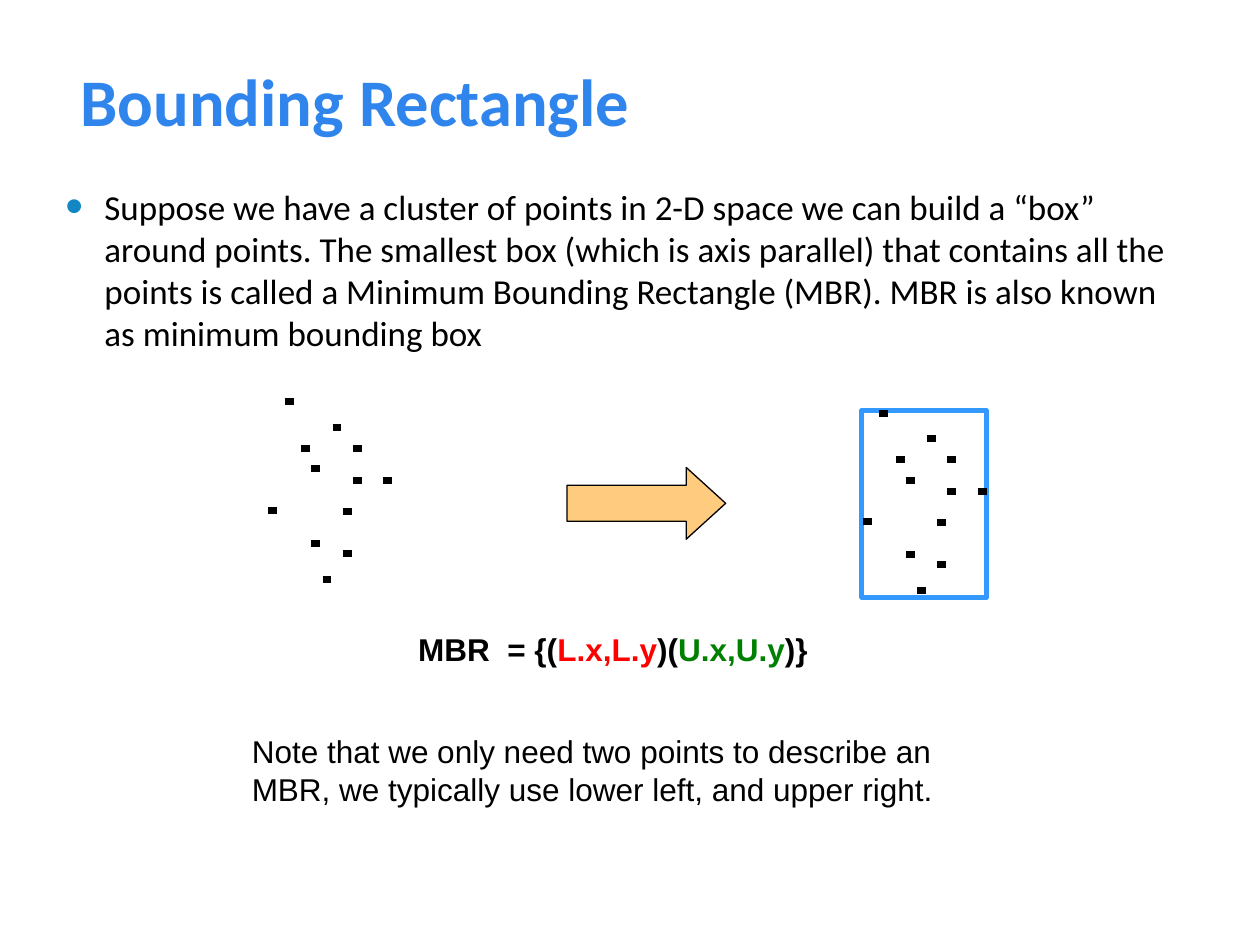
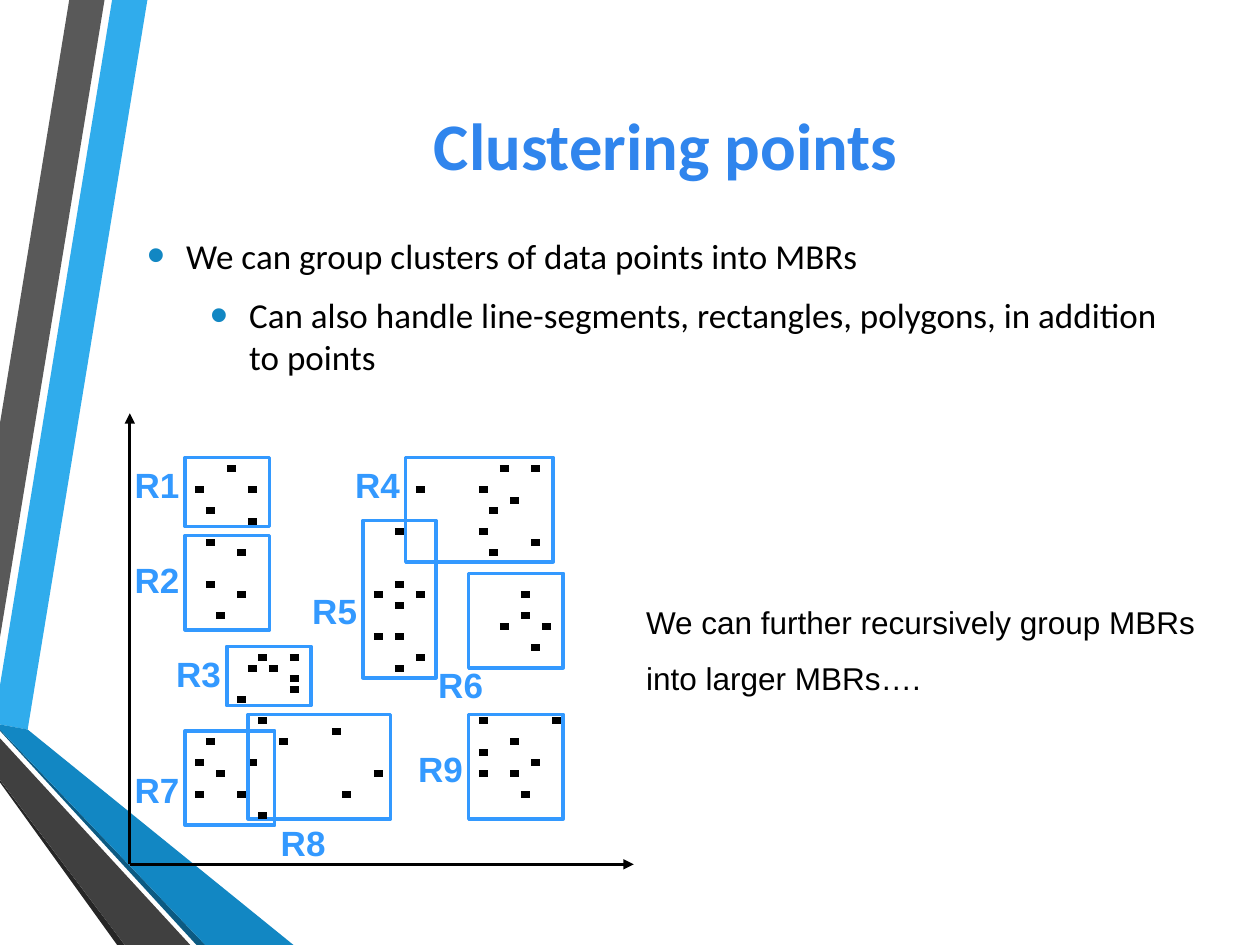
from lxml import etree
from pptx import Presentation
from pptx.dml.color import RGBColor
from pptx.enum.shapes import MSO_CONNECTOR, MSO_SHAPE
from pptx.enum.text import MSO_ANCHOR, PP_ALIGN
from pptx.oxml.ns import qn
from pptx.util import Inches, Pt

STRAIGHT = MSO_CONNECTOR.STRAIGHT
RECTANGLE = MSO_SHAPE.RECTANGLE
RIGHT_ARROW = MSO_SHAPE.RIGHT_ARROW
TOP, MIDDLE, BOTTOM = MSO_ANCHOR.TOP, MSO_ANCHOR.MIDDLE, MSO_ANCHOR.BOTTOM
LEFT, CENTER = PP_ALIGN.LEFT, PP_ALIGN.CENTER

BLACK, TITLE_BLUE, BULLET_BLUE, MBR_BLUE = "000000", "3085ED", "1287C3", "3399FF"
LOWER_RED, UPPER_GREEN, ARROW_ORANGE = "FF0000", "008000", "FF9900"
HEADING_FONT, NOTE_FONT = "Calibri", "Arial"
DOT_LENGTH = 0.07
GRID_STEP = 1 / 12

BANDS = [
    ("30ACEC", [(0, 5.44), (0, 5.75), (0.22, 5.79), (1.17, 0), (0.89, 0)]),
    ("595959", [(0.83, 0), (0.55, 0), (0, 3.36), (0, 5.06)]),
    ("262626", [(0, 6.19), (0, 6.21), (0.93, 7.5), (0.99, 7.5)]),
    ("0C5A82", [(0, 5.79), (0, 5.8), (1.56, 7.5), (1.63, 7.5)]),
    ("1287C3", [(0, 5.79), (1.63, 7.5), (2.33, 7.5), (0.22, 5.79), (0, 5.75)]),
    ("404040", [(0, 6.19), (0.99, 7.5), (1.51, 7.5), (0, 5.86)]),
]

CLUSTER = [(0.13, 0), (0.51, 0.2), (0.26, 0.37), (0.67, 0.37), (0.34, 0.53), (0.67, 0.62),
           (0.91, 0.62), (0, 0.86), (0.59, 0.87), (0.34, 1.12), (0.59, 1.2), (0.43, 1.41)]

REGIONS = [
    ("R1", (0.44, 0.35, 0.67, 0.55), (-0.06, 0.35),
     [(3, 0), (0, 2), (5, 2), (1, 4), (5, 5)]),
    ("R2", (0.44, 0.97, 0.67, 0.75), (-0.06, 1.1),
     [(1, 7), (4, 8), (1, 11), (4, 12), (2, 14)]),
    ("R3", (0.77, 1.85, 0.67, 0.47), (0.27, 1.85),
     [(6, 18), (9, 18), (5, 19), (7, 19), (9, 20), (9, 21), (4, 22)]),
    ("R4", (2.19, 0.35, 1.17, 0.83), (1.69, 0.35),
     [(29, 0), (32, 0), (21, 2), (27, 2), (30, 3), (28, 4), (27, 6), (32, 7), (28, 8)]),
    ("R5", (1.85, 0.85, 0.58, 1.25), (1.35, 1.35),
     [(19, 6), (19, 11), (17, 12), (21, 12), (19, 13), (17, 16), (19, 16), (21, 18), (19, 19)]),
    ("R6", (2.69, 1.27, 0.75, 0.75), (2.35, 1.94),
     [(31, 12), (31, 14), (29, 15), (33, 15), (32, 17)]),
    ("R7", (0.44, 2.52, 0.71, 0.75), (-0.06, 2.77),
     [(1, 26), (0, 28), (5, 28), (2, 29), (0, 31), (4, 31)]),
    ("R8", (0.94, 2.39, 1.13, 0.83), (1.1, 3.19),
     [(6, 24), (13, 25), (8, 26), (17, 29), (14, 31), (6, 33)]),
    ("R9", (2.69, 2.39, 0.75, 0.83), (2.19, 2.6),
     [(27, 24), (34, 24), (30, 26), (27, 27), (32, 28), (27, 29), (30, 29), (31, 31)]),
]


def rgb(color):
    """Turn a hex string into a colour."""
    return RGBColor.from_string(color)


def child(parent, tag, **attributes):
    """Append a drawing element with the given attributes."""
    return etree.SubElement(parent, qn(tag), attributes)


def write(paragraph, text, size=18, font=NOTE_FONT, color=BLACK, bold=False, align=LEFT):
    """Write one formatted run into a paragraph."""
    run = paragraph.add_run()
    run.text = text
    run.font.size, run.font.name, run.font.bold = Pt(size), font, bold
    run.font.color.rgb = rgb(color)
    paragraph.alignment = align


def add_frame(slide, box, anchor=TOP, wrap=True):
    """Add a text box and return its text frame."""
    frame = slide.shapes.add_textbox(*map(Inches, box)).text_frame
    frame.word_wrap, frame.vertical_anchor = wrap, anchor
    return frame


def add_line(slide, start, end, width, arrow=False):
    """Draw a black straight line, with an arrowhead at its end if asked."""
    line = slide.shapes.add_connector(STRAIGHT, *map(Inches, (*start, *end)))
    line.line.width = Pt(width)
    line.line.color.rgb = rgb(BLACK)
    if arrow:
        child(line.line._get_or_add_ln(), "a:tailEnd", type="triangle")
    child(line._element.spPr, "a:effectLst")


def add_dot(slide, x, y):
    """Mark one data point with a short thick dash."""
    add_line(slide, (x, y), (x + DOT_LENGTH, y), 4)


def add_mbr(slide, box, width):
    """Outline a bounding rectangle."""
    mbr = slide.shapes.add_shape(RECTANGLE, *map(Inches, box))
    mbr.shadow.inherit = False
    mbr.fill.background()
    mbr.line.color.rgb = rgb(MBR_BLUE)
    mbr.line.width = Pt(width)


def add_titled_slide(deck, title, box, align=LEFT):
    """Add a title-only slide and format its title."""
    slide = deck.slides.add_slide(deck.slide_layouts[5])
    heading = slide.shapes.title
    heading.left, heading.top, heading.width, heading.height = map(Inches, box)
    heading.text_frame.vertical_anchor = MIDDLE
    write(heading.text_frame.paragraphs[0], title, size=38, font=HEADING_FONT,
          color=TITLE_BLUE, bold=True, align=align)
    return slide


def add_bullets(slide, box, items, top_inset=0.05):
    """Write bulleted paragraphs, each one level deeper than the last."""
    frame = add_frame(slide, box)
    frame.margin_top = Inches(top_inset)
    for level, item in enumerate(items):
        paragraph = frame.add_paragraph() if level else frame.paragraphs[0]
        paragraph.level = level
        paragraph.space_before, paragraph.space_after = Pt(4), Pt(6)
        write(paragraph, item, size=20, font=HEADING_FONT)
        properties = paragraph._p.get_or_add_pPr()
        properties.set("marL", str(Inches(0.31 + 0.5 * level)))
        properties.set("indent", str(Inches(-0.31)))
        child(child(properties, "a:buClr"), "a:srgbClr", val=BULLET_BLUE)
        child(properties, "a:buSzPct", val="145000")
        child(properties, "a:buFont", typeface="Arial")
        child(properties, "a:buChar", char="•")


def add_bands(slide):
    """Draw the folded ribbons along the left edge."""
    for color, outline in BANDS:
        corners = [(Inches(x), Inches(y)) for x, y in outline]
        builder = slide.shapes.build_freeform(*corners[0])
        builder.add_line_segments(corners[1:], close=True)
        band = builder.convert_to_shape()
        band.shadow.inherit = False
        band.fill.solid()
        band.fill.fore_color.rgb = rgb(color)
        band.line.fill.background()


def add_cluster(slide, left, top):
    """Scatter the sample cluster from its upper left corner."""
    for x, y in CLUSTER:
        add_dot(slide, left + x, top + y)


def add_becomes_arrow(slide, box):
    """Draw the half-transparent arrow between the clusters."""
    arrow = slide.shapes.add_shape(RIGHT_ARROW, *map(Inches, box))
    arrow.adjustments[0], arrow.adjustments[1] = 0.5, 0.55
    arrow.shadow.inherit = False
    arrow.fill.solid()
    arrow.fill.fore_color.rgb = rgb(ARROW_ORANGE)
    child(arrow._element.spPr.find(".//" + qn("a:srgbClr")), "a:alpha", val="50000")
    arrow.line.color.rgb = rgb(BLACK)
    arrow.line.width = Pt(0.75)


def add_region_map(slide, left, top, width, height):
    """Draw the axes and the nine labelled regions with their points."""
    for label, (x, y, w, h), (label_x, label_y), points in REGIONS:
        add_mbr(slide, (left + x, top + y, w, h), 2)
        for column, row in points:
            add_dot(slide, left + 0.52 + column * GRID_STEP, top + 0.44 + row * GRID_STEP)
        frame = add_frame(slide, (left + label_x, top + label_y, 0.56, 0.44), wrap=False)
        write(frame.paragraphs[0], label, size=20, color=MBR_BLUE, bold=True)
    origin = (left, top + height)
    add_line(slide, origin, (left, top), 1.5, arrow=True)
    add_line(slide, origin, (left + width, top + height), 1.5, arrow=True)


def build_bounding_slide(deck):
    """Explain the minimum bounding rectangle of one cluster."""
    slide = add_titled_slide(deck, "Bounding Rectangle", (0.54, 0.33, 8.71, 0.92))
    add_bullets(slide, (0.42, 1.42, 9.08, 1.9), [
        "Suppose we have a cluster of points in 2-D space we can build a “box” around points. "
        "The smallest box (which is axis parallel) that contains all the points is called a "
        "Minimum Bounding Rectangle (MBR). MBR is also known as minimum bounding box"])
    add_cluster(slide, 2.13, 3.19)
    add_becomes_arrow(slide, (4.5, 3.71, 1.26, 0.57))
    add_mbr(slide, (6.84, 3.26, 0.99, 1.48), 3)
    add_cluster(slide, 6.85, 3.28)
    formula = add_frame(slide, (3.11, 4.95, 3.51, 0.4)).paragraphs[0]
    for text, color in [("MBR  = {(", BLACK), ("L.x,L.y", LOWER_RED), (")(", BLACK),
                        ("U.x,U.y", UPPER_GREEN), (")}", BLACK)]:
        write(formula, text, color=color, bold=True, align=CENTER)
    note = add_frame(slide, (1.9, 5.76, 6.12, 0.71))
    write(note.paragraphs[0], "Note that we only need two points to describe an MBR, "
          "we typically use lower left, and upper right.")


def build_clustering_slide(deck):
    """Show many clusters grouped into rectangles."""
    slide = add_titled_slide(deck, "Clustering points", (1.07, 0.5, 8.43, 1.28), align=CENTER)
    add_bands(slide)
    add_bullets(slide, (1.07, 1.86, 8.43, 1.59), [
        "We can group clusters of data points into MBRs",
        "Can also handle line-segments, rectangles, polygons, in addition to points"],
        top_inset=0)
    add_region_map(slide, 1.03, 3.28, 4, 3.58)
    note = add_frame(slide, (5.03, 2.56, 5, 3.06), anchor=BOTTOM)
    note.margin_bottom = Inches(0.09)
    note.paragraphs[0].line_spacing = Pt(32)
    write(note.paragraphs[0], "We can further recursively group MBRs into larger MBRs….")


def main():
    """Build and save the deck."""
    deck = Presentation()
    deck.slide_width, deck.slide_height = Inches(10), Inches(7.5)
    build_bounding_slide(deck)
    build_clustering_slide(deck)
    deck.save("out.pptx")


if __name__ == "__main__":
    main()
